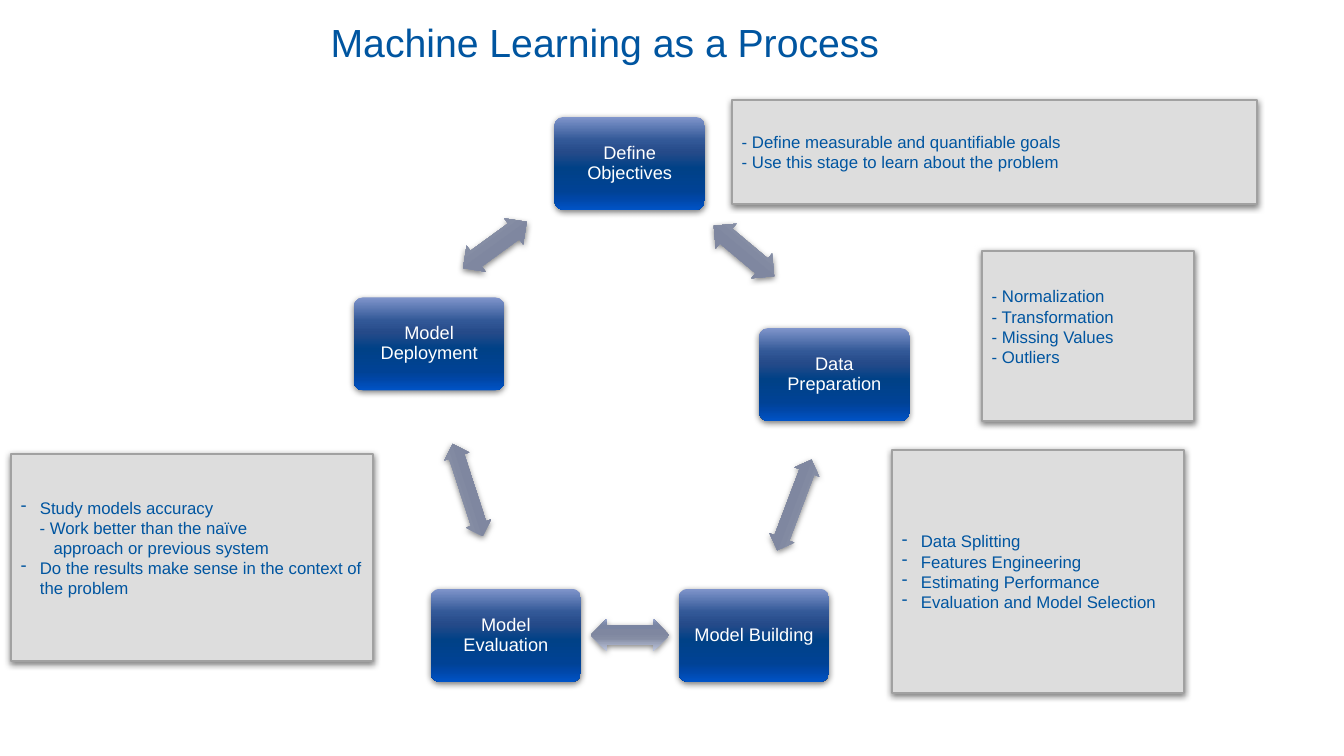
import pptx
import pptx.util
import pptx.oxml
import pptx.oxml.ns
import pptx.dml.color
import pptx.enum.shapes
import pptx.enum.text

Pt = pptx.util.Pt
Rgb = pptx.dml.color.RGBColor
Kind = pptx.enum.shapes.MSO_SHAPE
Align = pptx.enum.text.PP_ALIGN
Mid = pptx.enum.text.MSO_ANCHOR.MIDDLE

HEX = {"blue": "0055A0", "white": "FFFFFF", "gray": "DDDDDD", "edge": "A1A1A1", "black": "000000"}
STEPS = (0, 25, 38, 55, 80, 88, 100)
DEEP = ("8095CB", "325897", "254A89", "004187", "004295", "0046A7", "0054C7")
PALE = ("BEC7E0", "9BA3BA", "858DA4", "7F87A0", "7A85A2", "7F8CAD", "9FADD5")

TITLE = "Machine Learning as a Process"
STAGE = (107.5, 66.5)
STAGES = [
    ("Define Objectives", 396, 83.5),
    ("Data Preparation", 542.2, 234.3),
    ("Model Building", 484.8, 420.6),
    ("Model Evaluation", 307.6, 420.6),
    ("Model Deployment", 252.8, 212.4),
]
SHORT = (56.2, 23)
LONG = (69.1, 18.7)
ARROWS = [
    (531.4, 179.3, SHORT, 39.9),
    (567.4, 360.7, LONG, 110.7),
    (450, 453.6, SHORT, 180),
    (334, 350, LONG, 252),
    (353.5, 175, SHORT, 324),
]
DASH = 13.5
NOTES = [
    ((522.7, 71.3, 375.1, 74.2), 3.6, [
        ("- Define measurable and quantifiable goals", 0, False),
        ("- Use this stage to learn about the problem", 0, False)]),
    ((701.3, 179.3, 151.9, 121.7), 17.4, [
        ("- Normalization", 0, False),
        ("- Transformation", 0, False),
        ("- Missing Values", 0, False),
        ("- Outliers", 0, False)]),
    ((637.2, 321.1, 208.8, 174.2), 3.6, [
        ("Data Splitting", DASH, True),
        ("Features Engineering", DASH, True),
        ("Estimating Performance", DASH, True),
        ("Evaluation and Model Selection", DASH, True)]),
    ((7.9, 324, 258.5, 148.3), 17.4, [
        ("Study models accuracy", DASH, True),
        ("- Work better than the naïve", 13.3, False),
        ("approach or previous system", 23.3, False),
        ("Do the results make sense in the context of the problem", DASH, True)]),
]


def node(parent, tag, **attrs):
    child = pptx.oxml.parse_xml(f"<{tag} {pptx.oxml.ns.nsdecls('a')}/>")
    for key, val in attrs.items():
        child.set(key, str(val))
    parent.append(child)
    return child


def shade(shape):
    shape.shadow.inherit = False
    fx = shape.element.spPr.find(pptx.oxml.ns.qn("a:effectLst"))
    cast = node(fx, "a:outerShdw", blurRad=Pt(4.5), dist=Pt(1.5), dir=5400000, rotWithShape=0)
    node(node(cast, "a:srgbClr", val=HEX["black"]), "a:alpha", val=50000)


def blend(shape, tones):
    shape.fill.gradient()
    shape.line.fill.background()
    grad = shape.element.spPr.find(pptx.oxml.ns.qn("a:gradFill"))
    for child in list(grad):
        grad.remove(child)
    stops = node(grad, "a:gsLst")
    for step, tone in zip(STEPS, tones):
        node(node(stops, "a:gs", pos=step * 1000), "a:srgbClr", val=tone)
    node(grad, "a:lin", ang=5400000, scaled=0)


def draw(kind, box):
    shape = slide.shapes.add_shape(kind, *map(Pt, box))
    shade(shape)
    return shape


def setup(frame, side, top, low):
    frame.word_wrap = True
    frame.vertical_anchor = Mid
    frame.margin_left = frame.margin_right = Pt(side)
    frame.margin_top, frame.margin_bottom = Pt(top), Pt(low)


def write(para, text, size, tone, align=Align.LEFT):
    para.alignment = align
    run = para.add_run()
    run.text = text
    run.font.name = "Arial"
    run.font.size = Pt(size)
    run.font.color.rgb = Rgb.from_string(HEX[tone])


deck = pptx.Presentation()
deck.slide_width, deck.slide_height = Pt(960), Pt(540)
slide = deck.slides.add_slide(deck.slide_layouts[6])

head = slide.shapes.add_textbox(Pt(232.6), Pt(-10.1), Pt(437), Pt(80)).text_frame
setup(head, 3.6, 3.6, 3.6)
write(head.paragraphs[0], TITLE, 28, "blue")

for text, left, top in STAGES:
    card = draw(Kind.ROUNDED_RECTANGLE, (left, top, *STAGE))
    card.adjustments[0] = 0.1
    blend(card, DEEP)
    setup(card.text_frame, 5.4, 5.4, 5.4)
    para = card.text_frame.paragraphs[0]
    para.line_spacing = 0.9
    write(para, text, 13, "white", Align.CENTER)

for mid, row, (wide, high), turn in ARROWS:
    arrow = draw(Kind.LEFT_RIGHT_ARROW, (mid - wide / 2, row - high / 2, wide, high))
    arrow.adjustments[0] = 0.6
    arrow.adjustments[1] = 0.5
    arrow.rotation = turn
    blend(arrow, PALE)

for box, low, lines in NOTES:
    note = draw(Kind.RECTANGLE, box)
    note.fill.solid()
    note.fill.fore_color.rgb = Rgb.from_string(HEX["gray"])
    note.line.color.rgb = Rgb.from_string(HEX["edge"])
    note.line.width = Pt(1.5)
    frame = note.text_frame
    setup(frame, 7.2, 3.6, low)
    for i, (text, left, dash) in enumerate(lines):
        para = frame.add_paragraph() if i else frame.paragraphs[0]
        props = para._p.get_or_add_pPr()
        props.set("marL", str(Pt(left)))
        props.set("indent", str(Pt(-left if dash else 0)))
        if dash:
            node(node(props, "a:buClr"), "a:srgbClr", val=HEX["blue"])
            node(props, "a:buFontTx")
            node(props, "a:buChar", char="-")
        write(para, text, 12, "blue")

deck.save("out.pptx")
